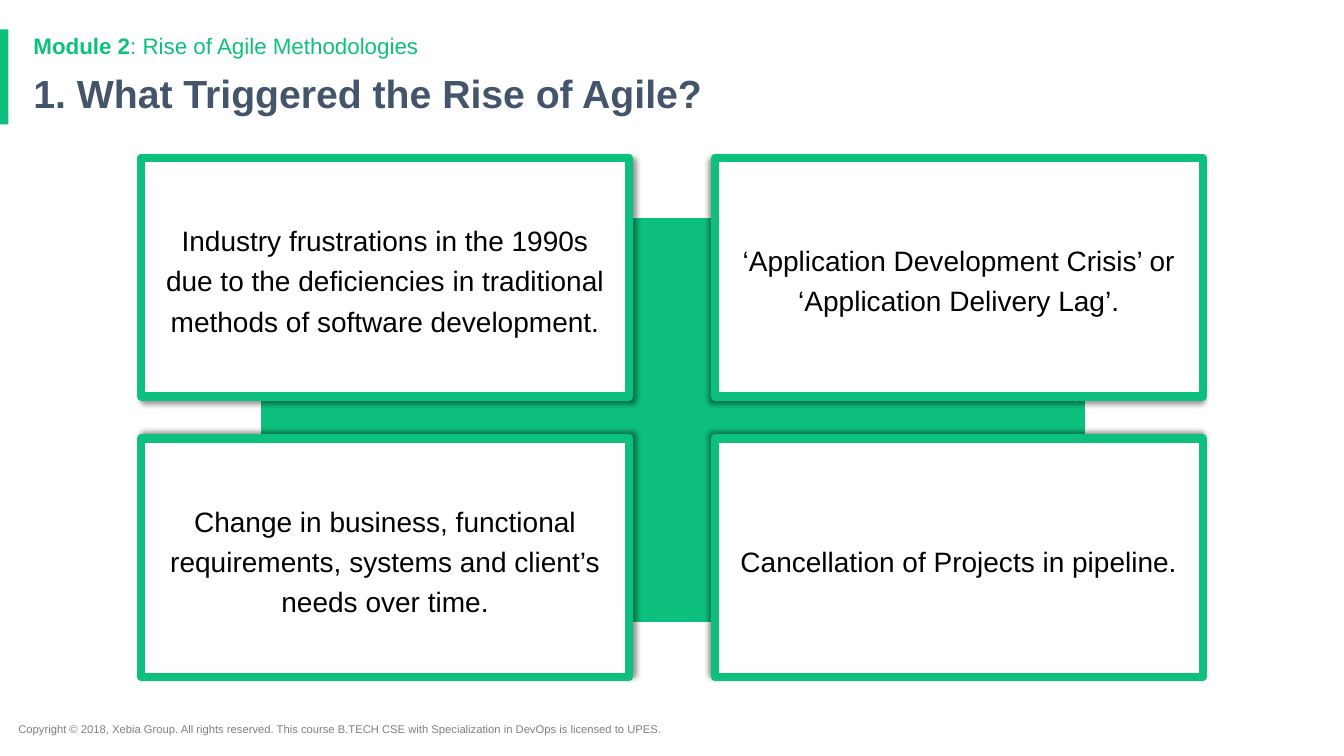
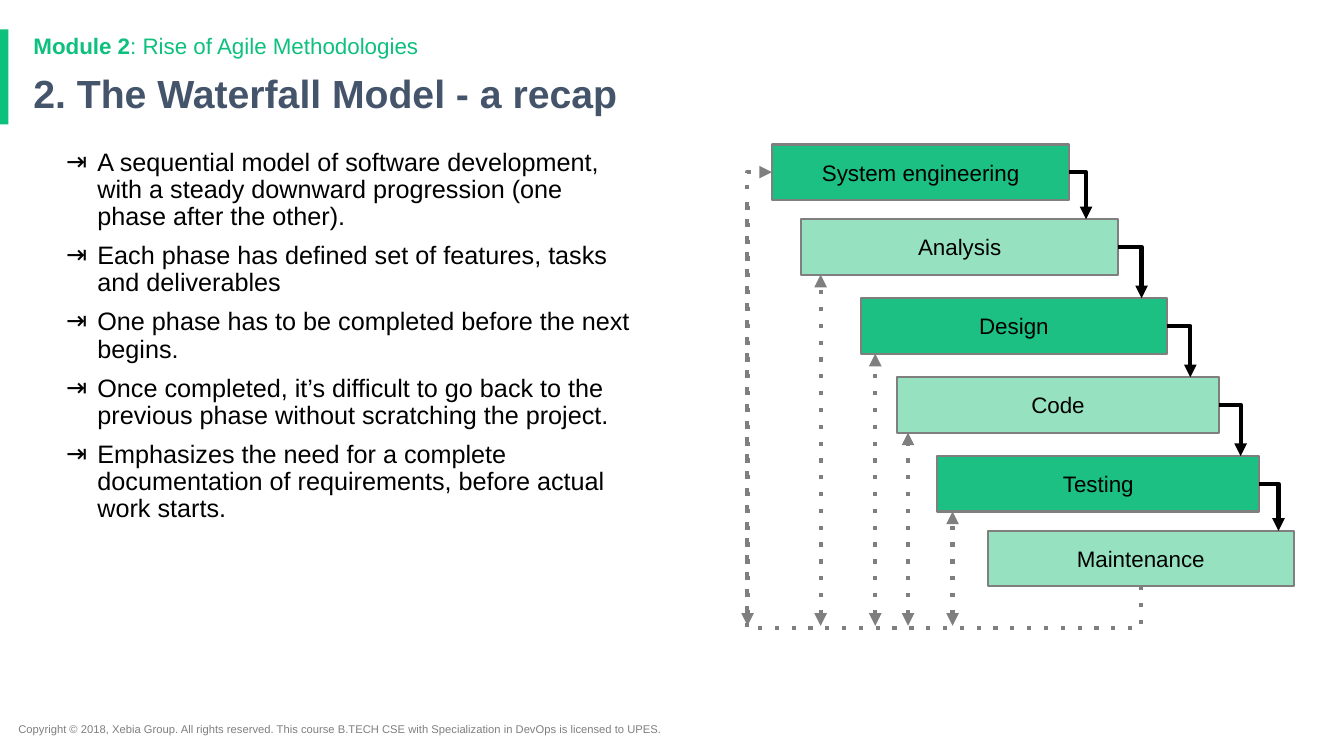
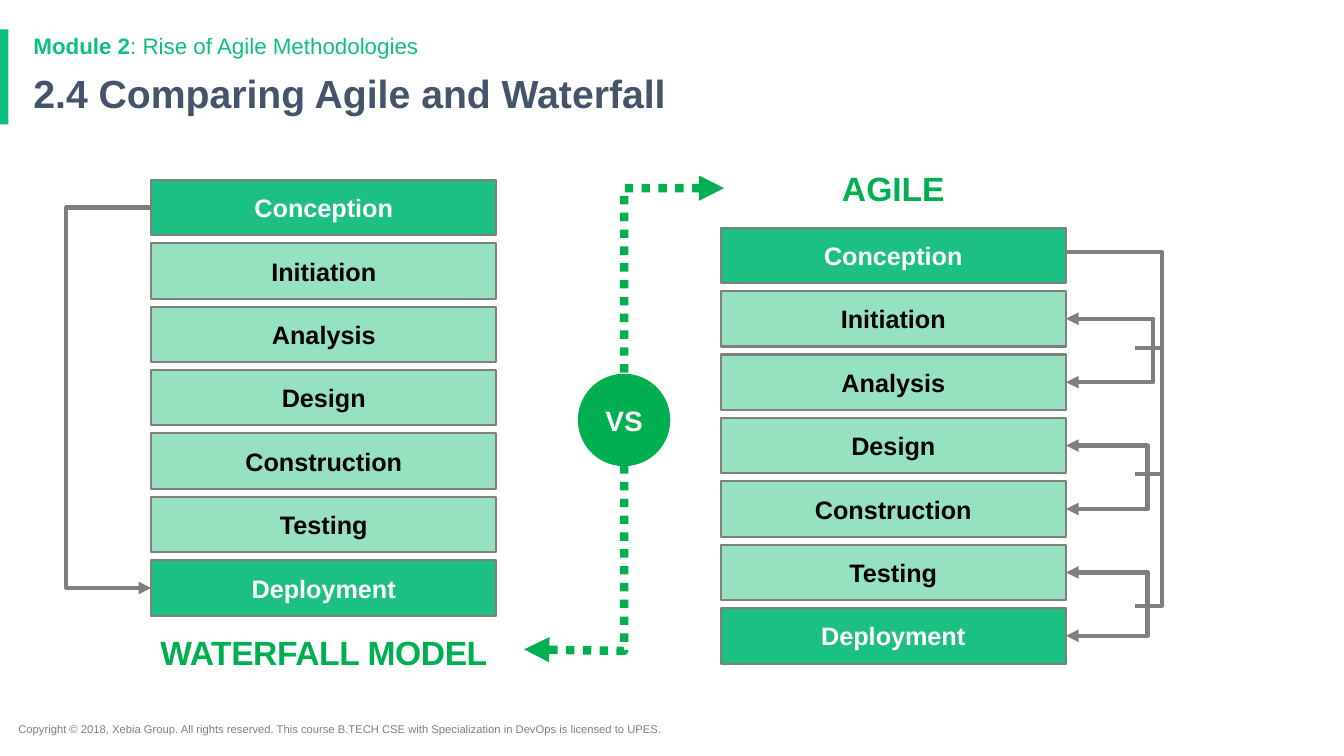
from dataclasses import dataclass
from typing import Optional

import pptx
import pptx.dml.color
import pptx.enum.shapes
import pptx.enum.text
import pptx.oxml.ns
import pptx.util
from lxml import etree

RGB = pptx.dml.color.RGBColor
SHAPE = pptx.enum.shapes.MSO_SHAPE
CONNECTOR = pptx.enum.shapes.MSO_CONNECTOR
ALIGN = pptx.enum.text.PP_ALIGN
ANCHOR = pptx.enum.text.MSO_ANCHOR
Pt = pptx.util.Pt
qn = pptx.oxml.ns.qn

# Slide grid: 160 columns by 90 rows of square cells
COLS, ROWS = 160, 90
CELL = pptx.util.Inches(1) / 12

# Shared style
FONT = "Arial"
BRAND = RGB(0x0E, 0xC0, 0x7D)
STRONG = RGB(0x1C, 0xC0, 0x83)
PALE = RGB(0x96, 0xE2, 0xC0)
VIVID = RGB(0x00, 0xB0, 0x50)
SLATE = RGB(0x44, 0x54, 0x6A)
GREY = RGB(0x7F, 0x7F, 0x7F)
BLACK = RGB(0, 0, 0)
WHITE = RGB(0xFF, 0xFF, 0xFF)
FOOTER = ("Copyright © 2018, Xebia Group. All rights reserved. This course B.TECH CSE "
          "with Specialization in DevOps is licensed to UPES.")
BOX_H = 6.6

Point = tuple[float, float]


@dataclass(frozen=True)
class Card:
    col: int
    row: int
    shadow_angle: int
    text: str


@dataclass(frozen=True)
class Phase:
    label: str
    left: float
    top: float
    width: float
    step: Optional[float] = None  # reach of the arrow to the next phase
    feedback: Optional[float] = None  # column of the dotted feedback line

    @property
    def right(self) -> float:
        return self.left + self.width

    @property
    def middle(self) -> float:
        return self.top + BOX_H / 2

    @property
    def bottom(self) -> float:
        return self.top + BOX_H


CARDS = [
    Card(0, 0, 45, "Industry frustrations in the 1990s due to the deficiencies in "
                   "traditional methods of software development."),
    Card(1, 0, 135, "‘Application Development Crisis’ or ‘Application Delivery Lag’."),
    Card(0, 1, 315, "Change in business, functional requirements, systems and client’s "
                    "needs over time."),
    Card(1, 1, 225, "Cancellation of Projects in pipeline."),
]

RECAP = [
    "A sequential model of software development, with a steady downward progression "
    "(one phase after the other).",
    "Each phase has defined set of features, tasks and deliverables",
    "One phase has to be completed before the next begins.",
    "Once completed, it’s difficult to go back to the previous phase without scratching "
    "the project.",
    "Emphasizes the need for a complete documentation of requirements, before actual "
    "work starts.",
]

PHASES = [
    Phase("System engineering", 91.9, 17.2, 35.4, 2, 89),
    Phase("Analysis", 95.4, 26.1, 37.7, 2.8, 97.7),
    Phase("Design", 102.5, 35.5, 36.4, 2.8, 104.2),
    Phase("Code", 106.8, 44.9, 38.3, 2.6, 108.1),
    Phase("Testing", 111.6, 54.3, 38.3, 2.3, 113.4),
    Phase("Maintenance", 117.6, 63.2, 36.4),
]

STAGES = ["Conception", "Initiation", "Analysis", "Design", "Construction", "Testing",
          "Deployment"]
STAGE_W, STAGE_PITCH = 41.1, 7.55


def cells(*values: float) -> list[pptx.util.Emu]:
    return [pptx.util.Emu(round(v * CELL)) for v in values]


# Text
def add_run(p, text: str, *, size: float, color: RGB = BLACK, bold: bool = False,
            spacing: float = 0) -> None:
    r = p.add_run()
    r.text = text
    r.font.name, r.font.size, r.font.bold = FONT, Pt(size), bold
    r.font.color.rgb = color
    if spacing:
        r.font._element.set("spc", str(round(spacing * 100)))


def add_textbox(s, left: float, top: float, width: float, height: float,
                anchor=ANCHOR.TOP):
    tf = s.shapes.add_textbox(*cells(left, top, width, height)).text_frame
    tf.word_wrap = True
    tf.vertical_anchor = anchor
    return tf


def add_label(s, left: float, top: float, width: float, height: float, text: str, *,
              line_spacing: float = 0.9, centred: bool = False, **fmt) -> None:
    tf = add_textbox(s, left, top, width, height, ANCHOR.MIDDLE if centred else ANCHOR.TOP)
    p = tf.paragraphs[0]
    p.line_spacing = line_spacing
    p.alignment = ALIGN.CENTER if centred else ALIGN.LEFT
    add_run(p, text, **fmt)


def add_bullet(p) -> None:
    pPr = p._p.get_or_add_pPr()
    indent = pptx.util.Inches(0.31)
    pPr.set("marL", str(indent))
    pPr.set("indent", str(-indent))
    color = etree.SubElement(pPr, qn("a:buClr"))
    etree.SubElement(color, qn("a:srgbClr"), val=str(BLACK))
    etree.SubElement(pPr, qn("a:buFont"), typeface=FONT)
    etree.SubElement(pPr, qn("a:buChar"), char="⇥")


# Shapes
def add_box(s, left: float, top: float, width: float, height: float, fill: RGB, *,
            kind=SHAPE.RECTANGLE, line: Optional[RGB] = None, weight: float = 1.5,
            text: str = "", inset: float = 0, line_spacing: float = 1, **fmt):
    sp = s.shapes.add_shape(kind, *cells(left, top, width, height))
    sp.shadow.inherit = False
    sp.fill.solid()
    sp.fill.fore_color.rgb = fill
    if line is None:
        sp.line.fill.background()
    else:
        sp.line.color.rgb = line
        sp.line.width = Pt(weight)
    if text:
        tf = sp.text_frame
        tf.word_wrap = True
        tf.vertical_anchor = ANCHOR.MIDDLE
        if inset:
            tf.margin_left, tf.margin_top, tf.margin_right, tf.margin_bottom = cells(*[inset] * 4)
        p = tf.paragraphs[0]
        p.alignment = ALIGN.CENTER
        p.line_spacing = line_spacing
        add_run(p, text, **fmt)
    return sp


def add_shadow(sp, angle: int) -> None:
    effects = sp._element.spPr.find(qn("a:effectLst"))
    shadow = etree.SubElement(effects, qn("a:outerShdw"), blurRad=str(Pt(4)),
                              dist=str(Pt(3)), dir=str(angle * 60000))
    color = etree.SubElement(shadow, qn("a:srgbClr"), val=str(BLACK))
    etree.SubElement(color, qn("a:alpha"), val="40000")


# Lines
def style_line(sp, color: RGB, weight: float, dash: str, head: bool, tail: bool) -> None:
    sp.line.color.rgb = color
    sp.line.width = Pt(weight)
    ln = sp._element.spPr.find(qn("a:ln"))
    if dash:
        etree.SubElement(ln, qn("a:prstDash"), val=dash)
    for tag, wanted in (("a:headEnd", head), ("a:tailEnd", tail)):
        if wanted:
            etree.SubElement(ln, qn(tag), type="triangle")


def add_line(s, start: Point, end: Point, *, bent: bool = False, color: RGB = GREY,
             weight: float = 3, dash: str = "", head: bool = False,
             tail: bool = False) -> None:
    kind = CONNECTOR.ELBOW if bent else CONNECTOR.STRAIGHT
    cx = s.shapes.add_connector(kind, *cells(*start, *end))
    spPr = cx._element.spPr
    if bent:
        spPr.find(qn("a:prstGeom")).set("prst", "bentConnector2")
    style_line(cx, color, weight, dash, head, tail)
    etree.SubElement(spPr, qn("a:effectLst"))


def add_route(s, points: list[Point], *, color: RGB = GREY, weight: float = 3,
              dash: str = "", head: bool = False, tail: bool = False) -> None:
    start, *rest = [cells(*point) for point in points]
    builder = s.shapes.build_freeform(*start)
    builder.add_line_segments(rest, close=False)
    sp = builder.convert_to_shape()
    sp.shadow.inherit = False
    sp.fill.background()
    style_line(sp, color, weight, dash, head, tail)


# Slides
def new_slide(prs, title: str):
    s = prs.slides.add_slide(prs.slide_layouts[6])
    add_box(s, 0, 3.5, 1, 11.3, BRAND)
    add_label(s, 1, 85.4, 85.6, 2.9, FOOTER, line_spacing=1, size=8, color=GREY)
    add_label(s, 2.8, 8.3, 138, 6.5, title, size=28, color=SLATE, bold=True)
    p = add_textbox(s, 2.8, 3.6, 138, 4).paragraphs[0]
    p.line_spacing = 0.9
    add_run(p, "Module 2", size=16, color=BRAND, bold=True)
    add_run(p, ": Rise of Agile Methodologies", size=16, color=BRAND)
    return s


def triggers_slide(prs) -> None:
    s = new_slide(prs, "1. What Triggered the Rise of Agile?")
    add_box(s, 31.1, 26, 98, 48, BRAND, line=BRAND, weight=1)
    for card in CARDS:
        sp = add_box(s, 16.8 + card.col * 68.3, 18.8 + card.row * 33.4, 58.1, 28.4, WHITE,
                     line=BRAND, weight=6, text=card.text, inset=2.3, line_spacing=1.2,
                     size=20)
        add_shadow(sp, card.shadow_angle)


def waterfall_slide(prs) -> None:
    s = new_slide(prs, "2. The Waterfall Model - a recap")
    tf = add_textbox(s, 6.7, 17.2, 69.5, 63.5)
    for i, text in enumerate(RECAP):
        p = tf.add_paragraph() if i else tf.paragraphs[0]
        add_bullet(p)
        p.line_spacing = 0.9
        if i:
            p.space_before = Pt(8.4)
        add_run(p, text, size=18)

    # Staircase of phases
    for i, phase in enumerate(PHASES):
        add_box(s, phase.left, phase.top, phase.width, BOX_H, PALE if i % 2 else STRONG,
                line=GREY, text=phase.label, size=16)
    for phase, following in zip(PHASES, PHASES[1:]):
        add_line(s, (phase.right, phase.middle), (phase.right + phase.step, following.top),
                 bent=True, color=BLACK, tail=True)

    # Feedback from maintenance to every earlier phase
    first, last = PHASES[0], PHASES[-1]
    centre, base, edge = last.left + last.width / 2, 74.8, 88.9
    add_route(s, [(centre, last.bottom), (centre, base), (edge, base),
                  (edge, first.middle), (first.left, first.middle)], dash="dot", tail=True)
    for phase in PHASES[:-1]:
        add_line(s, (phase.feedback, 74.5), (phase.feedback, phase.bottom), dash="dot",
                 head=True, tail=phase is not first)


def add_stages(s, left: float, top: float) -> list[float]:
    """Draw a stack of stages and return the middle row of each."""
    tops = [top + i * STAGE_PITCH for i in range(len(STAGES))]
    for y, stage in zip(tops, STAGES):
        outer = stage in (STAGES[0], STAGES[-1])
        add_box(s, left, y, STAGE_W, BOX_H, STRONG if outer else PALE, line=GREY,
                text=stage, size=18, bold=True, color=WHITE if outer else BLACK)
    return [y + BOX_H / 2 for y in tops]


def comparison_slide(prs) -> None:
    s = new_slide(prs, "2.4 Comparing Agile and Waterfall")

    # Waterfall: one pass from first to last stage
    left, loop = 18, 7.9
    rows = add_stages(s, left, 21.4)
    add_route(s, [(left, rows[0]), (loop, rows[0]), (loop, rows[-1]), (left, rows[-1])],
              tail=True)
    add_label(s, 13.7, 74.9, 49.7, 6.1, "WATERFALL MODEL", centred=True, size=24,
              color=VIVID, bold=True, spacing=-0.3)

    # Agile: paired stages joined to a spine
    left, spine, stub = 85.8, 138.3, 135.1
    right = left + STAGE_W
    rows = add_stages(s, left, 27.1)
    for i, bracket in ((1, 137.3), (3, 136.6), (5, 136.6)):
        add_route(s, [(right, rows[i]), (bracket, rows[i]), (bracket, rows[i + 1]),
                      (right, rows[i + 1])], head=True, tail=True)
    add_label(s, left, 20.4, STAGE_W, 4.6, "AGILE", centred=True, size=24, color=VIVID,
              bold=True)
    add_route(s, [(right, 30), (spine, 30), (spine, 72.1), (stub, 72.1)])
    for y in (41.4, 56.4):
        add_line(s, (stub, y), (spine, y))

    # Versus divider
    add_route(s, [(86.2, 22.4), (74.3, 22.4), (74.3, 77.5), (62.4, 77.3)], color=VIVID,
              weight=6, dash="sysDot", head=True, tail=True)
    add_box(s, 68.8, 44.5, 11, 11, VIVID, kind=SHAPE.OVAL, text="VS", size=20, color=WHITE,
            bold=True)


def main() -> None:
    prs = pptx.Presentation()
    prs.slide_width, prs.slide_height = cells(COLS, ROWS)
    triggers_slide(prs)
    waterfall_slide(prs)
    comparison_slide(prs)
    prs.save("out.pptx")


if __name__ == "__main__":
    main()
